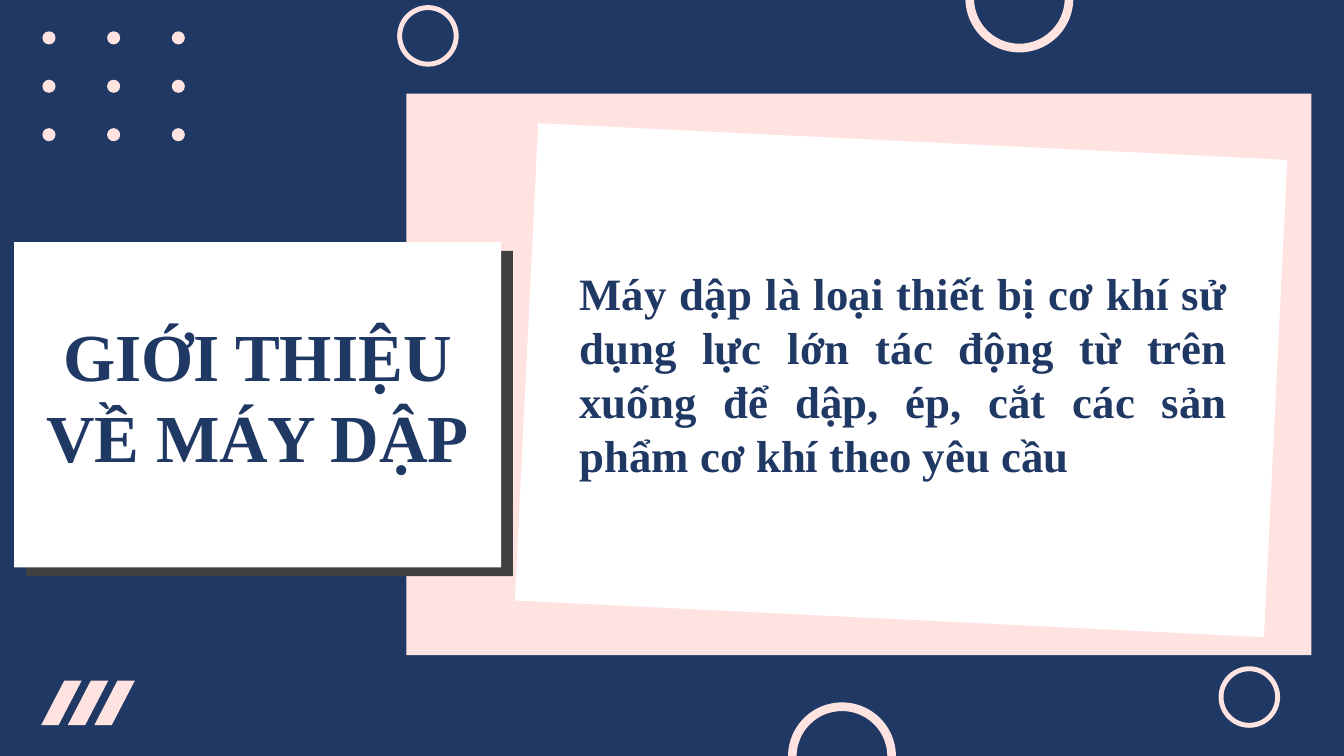
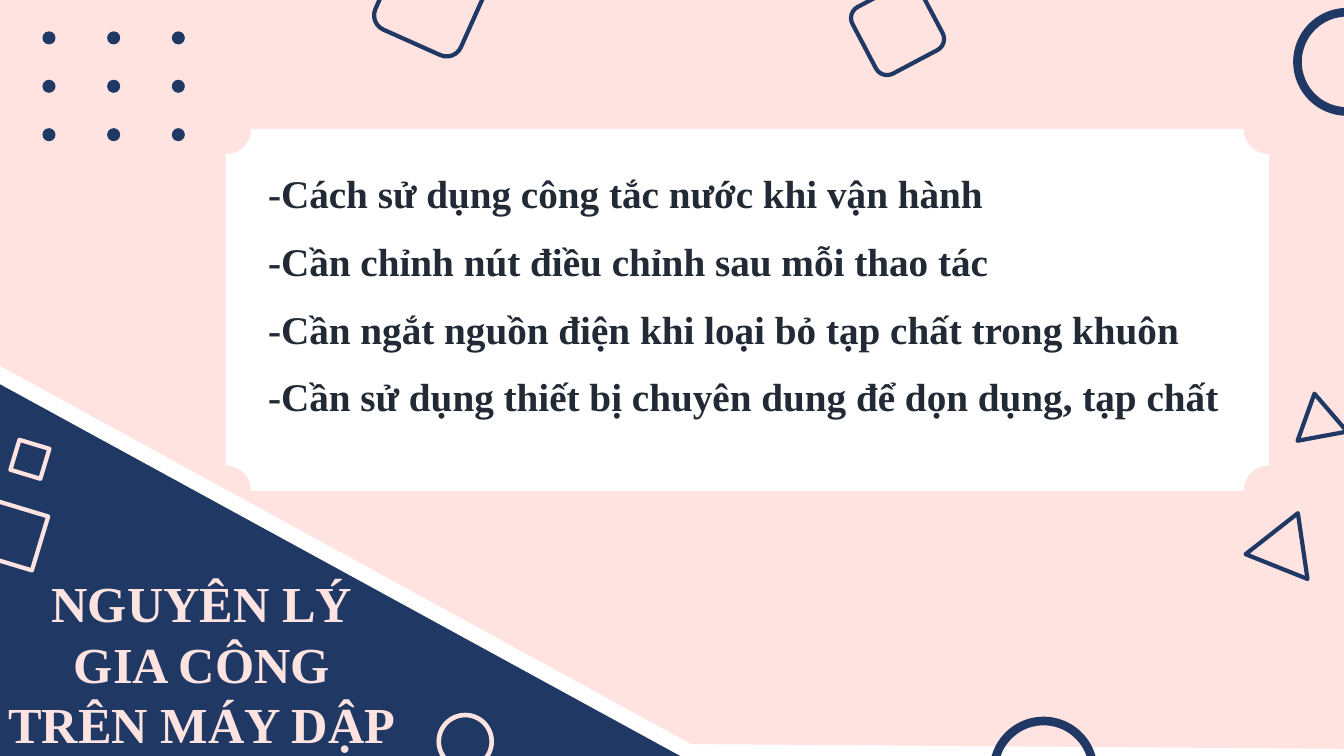
from dataclasses import dataclass

from pptx import Presentation
from pptx.dml.color import RGBColor
from pptx.enum.shapes import MSO_SHAPE
from pptx.enum.text import MSO_ANCHOR, MSO_AUTO_SIZE, PP_ALIGN
from pptx.oxml.ns import qn
from pptx.shapes.base import BaseShape
from pptx.slide import Slide
from pptx.util import Cm, Pt

RECTANGLE = MSO_SHAPE.RECTANGLE
ROUNDED = MSO_SHAPE.ROUNDED_RECTANGLE
TRIANGLE = MSO_SHAPE.ISOSCELES_TRIANGLE
OVAL = MSO_SHAPE.OVAL
DONUT = MSO_SHAPE.DONUT
PARALLELOGRAM = MSO_SHAPE.PARALLELOGRAM
PLAQUE = MSO_SHAPE.PLAQUE
CENTER = PP_ALIGN.CENTER
JUSTIFY = PP_ALIGN.JUSTIFY

COLORS = {
    "navy": "203864",
    "pink": "FFE3E1",
    "white": "FFFFFF",
    "shade": "404040",
    "ink": "222A35",
}
FONT = "Times New Roman"
SLIDE_WIDTH, SLIDE_HEIGHT = 33.87, 19.05
OUTLINE_WIDTH = 3
DOT_SIZE = 0.33
RING_LARGE, RING_SMALL = 2.72, 1.55


@dataclass(frozen=True)
class Box:
    left: float
    top: float
    width: float
    height: float


@dataclass(frozen=True)
class Ring:
    left: float
    top: float
    size: float
    color: str


@dataclass(frozen=True)
class Outline:
    kind: MSO_SHAPE
    box: Box
    rotation: float
    color: str


def rgb(name: str) -> RGBColor:
    return RGBColor.from_string(COLORS[name])


def paint(shape: BaseShape, fill: str | None, line: str | None = None) -> None:
    shape.shadow.inherit = False
    if fill:
        shape.fill.solid()
        shape.fill.fore_color.rgb = rgb(fill)
    else:
        shape.fill.background()
    if line:
        shape.line.color.rgb = rgb(line)
        shape.line.width = Pt(OUTLINE_WIDTH)
    else:
        shape.line.fill.background()


def add_figure(slide: Slide, kind: MSO_SHAPE, box: Box, fill: str | None = None,
               line: str | None = None, rotation: float = 0,
               adjustment: float | None = None) -> None:
    shape = slide.shapes.add_shape(
        kind, Cm(box.left), Cm(box.top), Cm(box.width), Cm(box.height))
    shape.rotation = rotation
    if adjustment is not None:
        shape.adjustments[0] = adjustment
    paint(shape, fill, line)


def add_polygon(slide: Slide, points: list[tuple[float, float]], fill: str) -> None:
    corners = [(Cm(x), Cm(y)) for x, y in points]
    builder = slide.shapes.build_freeform(*corners[0])
    builder.add_line_segments(corners[1:], close=True)
    paint(builder.convert_to_shape(), fill)


def add_dots(slide: Slide, color: str) -> None:
    for row in range(3):
        for column in range(3):
            box = Box(1.07 + 1.63 * column, 0.79 + 1.22 * row, DOT_SIZE, DOT_SIZE)
            add_figure(slide, OVAL, box, fill=color)


def add_rings(slide: Slide, rings: list[Ring]) -> None:
    for ring in rings:
        box = Box(ring.left, ring.top, ring.size, ring.size)
        add_figure(slide, DONUT, box, fill=ring.color, adjustment=0.08)


def add_outlines(slide: Slide, outlines: list[Outline]) -> None:
    for outline in outlines:
        add_figure(slide, outline.kind, outline.box, line=outline.color,
                   rotation=outline.rotation)


def write_text(placeholder: BaseShape, lines: list[str], *, box: Box, size: float,
               color: str, align: PP_ALIGN, spacing: float = 1.0,
               after: float = 0) -> None:
    tree = placeholder.element.getparent()
    tree.append(placeholder.element)
    placeholder.left, placeholder.top = Cm(box.left), Cm(box.top)
    placeholder.width, placeholder.height = Cm(box.width), Cm(box.height)
    frame = placeholder.text_frame
    frame.word_wrap = True
    frame.auto_size = MSO_AUTO_SIZE.NONE
    frame.vertical_anchor = MSO_ANCHOR.TOP
    frame.text = "\n".join(lines)
    for paragraph in frame.paragraphs:
        paragraph.alignment = align
        paragraph.line_spacing = spacing
        paragraph.space_before = Pt(0)
        paragraph.space_after = Pt(after)
        properties = paragraph._p.get_or_add_pPr()
        properties.set("marL", "0")
        properties.set("indent", "0")
        properties.append(properties.makeelement(qn("a:buNone"), {}))
        font = paragraph.runs[0].font
        font.name = FONT
        font.size = Pt(size)
        font.bold = True
        font.color.rgb = rgb(color)


def build_introduction(slide: Slide) -> None:
    add_figure(slide, RECTANGLE, Box(10.24, 2.36, 22.81, 14.15), fill="pink")
    add_figure(slide, RECTANGLE, Box(13.26, 3.56, 18.9, 12.04), fill="white",
               rotation=2.8)
    add_rings(slide, [
        Ring(24.33, -1.4, RING_LARGE, "pink"),
        Ring(19.86, 17.7, RING_LARGE, "pink"),
        Ring(10.01, 0.13, RING_SMALL, "pink"),
        Ring(30.71, 16.79, RING_SMALL, "pink"),
    ])
    for index in range(3):
        add_figure(slide, PARALLELOGRAM, Box(1.04 + 0.67 * index, 17.15, 1.02, 1.12),
                   fill="pink", adjustment=0.57)
    add_dots(slide, "pink")
    add_figure(slide, RECTANGLE, Box(0.66, 6.32, 12.27, 8.2), fill="shade")
    add_figure(slide, RECTANGLE, Box(0.36, 6.1, 12.27, 8.2), fill="white")
    write_text(slide.shapes.title, ["GIỚI THIỆU VỀ MÁY DẬP"],
               box=Box(0.89, 7.8, 11.2, 4.37), size=48, color="navy", align=CENTER)
    write_text(slide.placeholders[1], [
        "Máy dập là loại thiết bị cơ khí sử dụng lực lớn tác động từ trên xuống "
        "để dập, ép, cắt các sản phẩm cơ khí theo yêu cầu",
    ], box=Box(14.35, 6.58, 16.84, 5.74), size=32, color="navy", align=JUSTIFY)


def build_principles(slide: Slide) -> None:
    top_edge = [(0, 0), (SLIDE_WIDTH, 0)]
    add_polygon(slide, top_edge + [(SLIDE_WIDTH, SLIDE_HEIGHT),
                                   (17.15, SLIDE_HEIGHT), (0, 9.68)], "white")
    add_polygon(slide, top_edge + [(SLIDE_WIDTH, 18.87), (17.42, 18.75), (0, 9.22)],
                "pink")
    add_rings(slide, [
        Ring(24.94, 18.06, RING_LARGE, "navy"),
        Ring(32.59, 0.2, RING_LARGE, "navy"),
        Ring(11, 17.96, 1.45, "pink"),
    ])
    add_dots(slide, "navy")
    add_figure(slide, PLAQUE, Box(5.69, 3.25, 26.29, 9.12), fill="white",
               adjustment=0.07)
    add_outlines(slide, [
        Outline(RECTANGLE, Box(-0.38, 12.78, 1.42, 1.42), 16.8, "pink"),
        Outline(RECTANGLE, Box(0.36, 11.18, 0.79, 0.79), 16.8, "pink"),
        Outline(TRIANGLE, Box(31.6, 12.88, 1.68, 1.45), 21.8, "navy"),
        Outline(TRIANGLE, Box(32.59, 9.91, 1.27, 1.09), 349.5, "navy"),
        Outline(ROUNDED, Box(9.68, -1.19, 2.36, 2.36), 24.1, "navy"),
        Outline(ROUNDED, Box(21.67, -0.23, 1.9, 1.9), 332.1, "navy"),
    ])
    write_text(slide.shapes.title, ["NGUYÊN LÝ GIA CÔNG TRÊN MÁY DẬP"],
               box=Box(-0.18, 14.3, 10.54, 4.75), size=36, color="pink", align=CENTER)
    write_text(slide.placeholders[1], [
        "-Cách sử dụng công tắc nước khi vận hành",
        "-Cần chỉnh nút điều chỉnh sau mỗi thao tác",
        "-Cần ngắt nguồn điện khi loại bỏ tạp chất trong khuôn",
        "-Cần sử dụng thiết bị chuyên dung để dọn dụng, tạp chất",
    ], box=Box(6.5, 3.91, 25.68, 8.33), size=28, color="ink", align=JUSTIFY,
        spacing=1.2, after=8)


def main() -> None:
    presentation = Presentation()
    presentation.slide_width = Cm(SLIDE_WIDTH)
    presentation.slide_height = Cm(SLIDE_HEIGHT)
    background = presentation.slide_master.background.fill
    background.solid()
    background.fore_color.rgb = rgb("navy")
    layout = presentation.slide_layouts[1]
    for build in (build_introduction, build_principles):
        build(presentation.slides.add_slide(layout))
    presentation.save("out.pptx")


if __name__ == "__main__":
    main()
